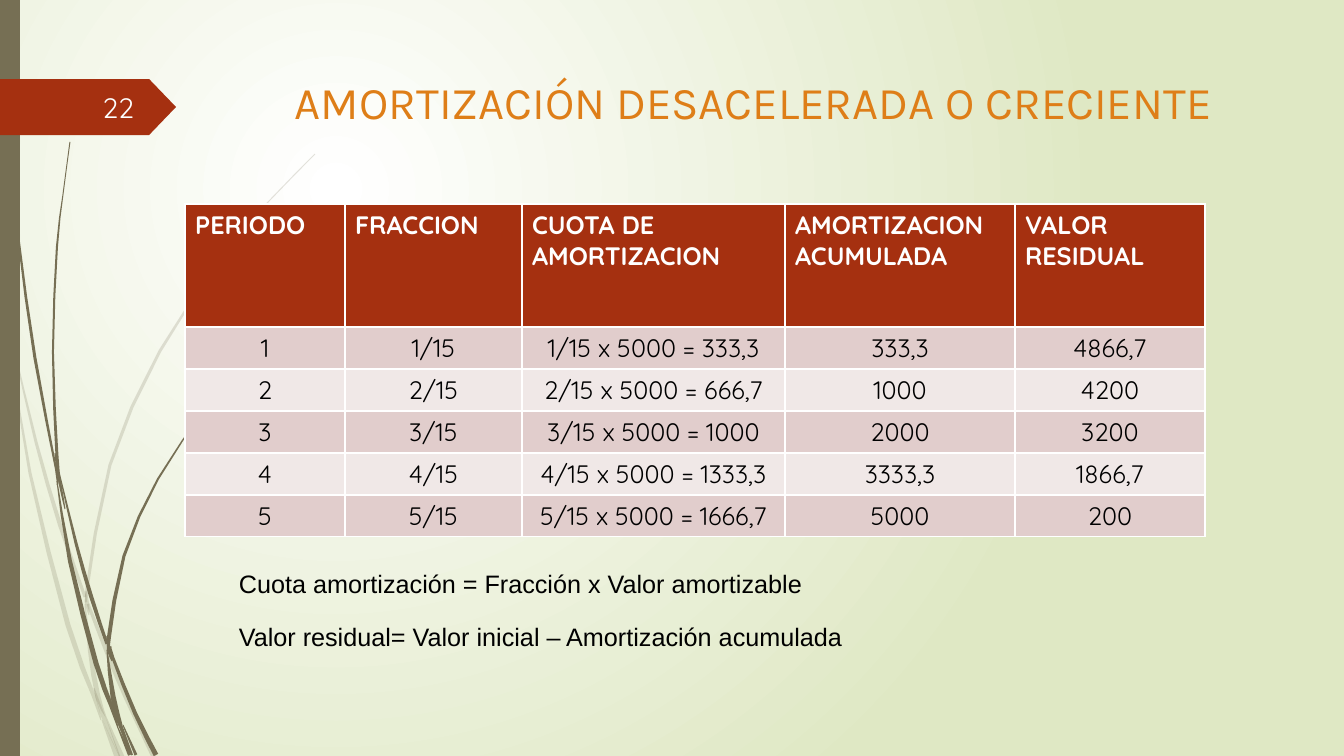
import math
from lxml import etree
from pptx import Presentation, util as u
from pptx.dml.color import RGBColor
from pptx.enum import shapes, text
from pptx.oxml.ns import qn

EMU_PER_PX = 914400 / 100.8

WHITE = RGBColor(0xFF, 0xFF, 0xFF)
OFF_WHITE = RGBColor(0xFE, 0xFF, 0xFF)
BLACK = RGBColor(0x00, 0x00, 0x00)
PALE_GREEN = RGBColor(0xDF, 0xE8, 0xC4)
OLIVE = RGBColor(0x76, 0x6F, 0x54)
RUST = RGBColor(0xA5, 0x30, 0x10)
ORANGE = RGBColor(0xDE, 0x7E, 0x18)
BAND_DARK = RGBColor(0xE1, 0xCD, 0xCC)
BAND_LIGHT = RGBColor(0xF0, 0xE8, 0xE7)

# Each blade of grass is a list of (x, y, thickness) along its middle, in px.
FAINT_BLADES = [
    [(0, 293, 4), (9, 335, 2), (11, 353, 1)],
    [(14, 348, 1), (36, 442, 3), (60, 525, 4), (85, 597, 3)],
    [(88, 604, 3), (109, 658, 4), (126, 698, 4), (154, 757, 5)],
    [(106, 717, 1), (122, 757, 5)],
    [(11, 353, 1), (30, 473, 3), (68, 625, 5), (93, 694, 4), (101, 720, 1)],
    [(85, 604, 1), (90, 651, 4), (98, 697, 5), (106, 717, 1)],
    [(315, 154, 1), (271, 199, 1), (230, 246, 1), (160, 351, 3), (110, 465, 3),
     (87, 589, 3), (87, 601, 1)],
    [(102, 720, 1), (117, 757, 5)],
    [(86, 591, 1), (87, 603, 4), (89, 615, 1)],
    [(94, 688, 1), (103, 716, 4), (120, 757, 1)],
]
DARK_BLADES = [
    [(3, 0, 1), (4, 48, 1), (7, 110, 1), (18, 234, 2), (35, 358, 3),
     (56, 469, 2), (57, 485, 1)],
    [(60, 476, 1), (76, 543, 3), (91, 596, 4), (107, 644, 3)],
    [(111, 646, 1), (113, 658, 3), (135, 713, 4), (156, 755, 5)],
    [(57, 481, 1), (70, 561, 4), (96, 663, 5), (111, 705, 4), (118, 728, 1)],
    [(70, 142, 1), (63, 195, 1), (57, 247, 2), (53, 352, 2), (57, 455, 3),
     (60, 476, 1)],
    [(123, 725, 1), (136, 755, 3)],
    [(55, 453, 1), (59, 478, 3), (65, 509, 1)],
    [(262, 347, 1), (233, 376, 1), (206, 408, 1), (158, 479, 2), (124, 556, 3),
     (109, 637, 4), (110, 646, 1)],
    [(118, 728, 1), (130, 755, 4)],
    [(107, 650, 1), (113, 696, 5), (122, 725, 1)],
    [(107, 636, 1), (109, 650, 4), (112, 661, 1)],
    [(111, 697, 1), (119, 722, 4), (132, 755, 2)],
]

HEADERS = ["PERIODO", "FRACCION", "CUOTA DE AMORTIZACION",
           "AMORTIZACION ACUMULADA", "VALOR RESIDUAL"]
PERIODS = [("333,3", "333,3", "4866,7"), ("666,7", "1000", "4200"),
           ("1000", "2000", "3200"), ("1333,3", "3333,3", "1866,7"),
           ("1666,7", "5000", "200")]
COLUMN_WIDTHS = [160, 177, 263, 230, 190]
HEADER_HEIGHT, ROW_HEIGHT = 123, 42


def px(n):
    return u.Emu(round(n * EMU_PER_PX))


def write(tf, content, font="Quicksand", size=18, color=BLACK, bold=False,
          align=text.PP_ALIGN.LEFT):
    p = tf.paragraphs[0]
    p.alignment = align
    r = p.add_run()
    r.text = content
    r.font.name, r.font.size, r.font.bold = font, u.Pt(size), bold
    r.font.color.rgb = color


def add_text(s, box, content, anchor=text.MSO_ANCHOR.TOP, wrap=True, **fmt):
    tf = s.shapes.add_textbox(*map(px, box)).text_frame
    tf.word_wrap = wrap
    tf.vertical_anchor = anchor
    write(tf, content, **fmt)


def paint(sp, color, alpha=100):
    """Give a shape a flat fill, with no line and no shadow."""
    sp.shadow.inherit = False
    sp.line.fill.background()
    sp.fill.solid()
    sp.fill.fore_color.rgb = color
    if alpha < 100:
        clr = sp._element.spPr.find(".//" + qn("a:srgbClr"))
        etree.SubElement(clr, qn("a:alpha"), val=str(alpha * 1000))


def add_shape(s, kind, box, color):
    sp = s.shapes.add_shape(kind, *map(px, box))
    paint(sp, color)
    return sp


def smooth_curve(points, steps=2):
    """Return Catmull-Rom samples through the points."""
    padded = [points[0], *points, points[-1]]
    curve = []
    for a, b, c, d in zip(padded, padded[1:], padded[2:], padded[3:]):
        for i in range(steps):
            t = i / steps
            curve.append([
                (2 * k1 + (k2 - k0) * t + (2 * k0 - 5 * k1 + 4 * k2 - k3) * t ** 2
                 + (3 * k1 - k0 - 3 * k2 + k3) * t ** 3) / 2
                for k0, k1, k2, k3 in zip(a, b, c, d)])
    return curve + [points[-1]]


def add_blade(s, points, alpha):
    curve = smooth_curve(points)
    left, right = [], []
    for i, (x, y, thickness) in enumerate(curve):
        x0, y0, _ = curve[max(i - 1, 0)]
        x1, y1, _ = curve[min(i + 1, len(curve) - 1)]
        half = thickness / 2 / math.hypot(x1 - x0, y1 - y0)
        dx, dy = (y1 - y0) * half, (x0 - x1) * half
        left.append((px(x + dx), px(y + dy)))
        right.append((px(x - dx), px(y - dy)))
    outline = left + right[::-1]
    builder = s.shapes.build_freeform(*outline[0])
    builder.add_line_segments(outline[1:], close=True)
    paint(builder.convert_to_shape(), OLIVE, alpha)


def set_background(s):
    """Fill the slide with a round gradient centred in its upper left part."""
    fill = s.background.fill
    fill.gradient()
    for stop, color, position in zip(fill.gradient_stops, (WHITE, PALE_GREEN), (0, 1)):
        stop.color.rgb = color
        stop.position = position
    grad = s._element.find(".//" + qn("a:gradFill"))
    lin = grad.find(qn("a:lin"))
    radial = etree.Element(qn("a:path"), path="circle")
    etree.SubElement(radial, qn("a:fillToRect"),
                     l="50000", t="50000", r="100000", b="100000")
    grad.replace(lin, radial)


def add_schedule(s, left, top):
    """Add the table; its default style supplies the white borders."""
    rows = [HEADERS] + [
        [str(n), f"{n}/15", f"{n}/15 x 5000 = {quota}", total, residual]
        for n, (quota, total, residual) in enumerate(PERIODS, 1)]
    heights = [HEADER_HEIGHT] + [ROW_HEIGHT] * len(PERIODS)
    table = s.shapes.add_table(len(rows), len(HEADERS), px(left), px(top),
                               px(sum(COLUMN_WIDTHS)), px(sum(heights))).table
    for column, width in zip(table.columns, COLUMN_WIDTHS):
        column.width = px(width)
    for i, (values, height) in enumerate(zip(rows, heights)):
        table.rows[i].height = px(height)
        if i == 0:
            fill, fmt = RUST, dict(color=WHITE, bold=True)
        else:
            fill = BAND_DARK if i % 2 else BAND_LIGHT
            fmt = dict(align=text.PP_ALIGN.CENTER)
        for j, value in enumerate(values):
            cell = table.cell(i, j)
            cell.fill.solid()
            cell.fill.fore_color.rgb = fill
            write(cell.text_frame, value, **fmt)


def main():
    prs = Presentation()
    prs.slide_width, prs.slide_height = px(1344), px(756)
    s = prs.slides.add_slide(prs.slide_layouts[6])
    set_background(s)

    for blades, alpha in ((FAINT_BLADES, 20), (DARK_BLADES, 100)):
        for points in blades:
            add_blade(s, points, alpha)
    add_shape(s, shapes.MSO_SHAPE.RECTANGLE, (0, 0, 20, 756), OLIVE)
    tag = add_shape(s, shapes.MSO_SHAPE.PENTAGON, (0, 79, 176, 56), RUST)
    tag.adjustments[0] = 0.48

    add_text(s, (285, 69, 983, 75), "AMORTIZACIÓN DESACELERADA O CRECIENTE",
             font="Karla", size=32.4, color=ORANGE)
    add_schedule(s, 185, 204)
    add_text(s, (229, 563, 772, 40),
             "Cuota amortización = Fracción x Valor amortizable", font="Arial")
    add_text(s, (229, 616, 629, 40),
             "Valor residual= Valor inicial – Amortización acumulada",
             font="Arial", wrap=False)
    add_text(s, (58, 87, 86, 40), "22", anchor=text.MSO_ANCHOR.MIDDLE,
             size=20, color=OFF_WHITE, align=text.PP_ALIGN.RIGHT)
    prs.save("out.pptx")


if __name__ == "__main__":
    main()
